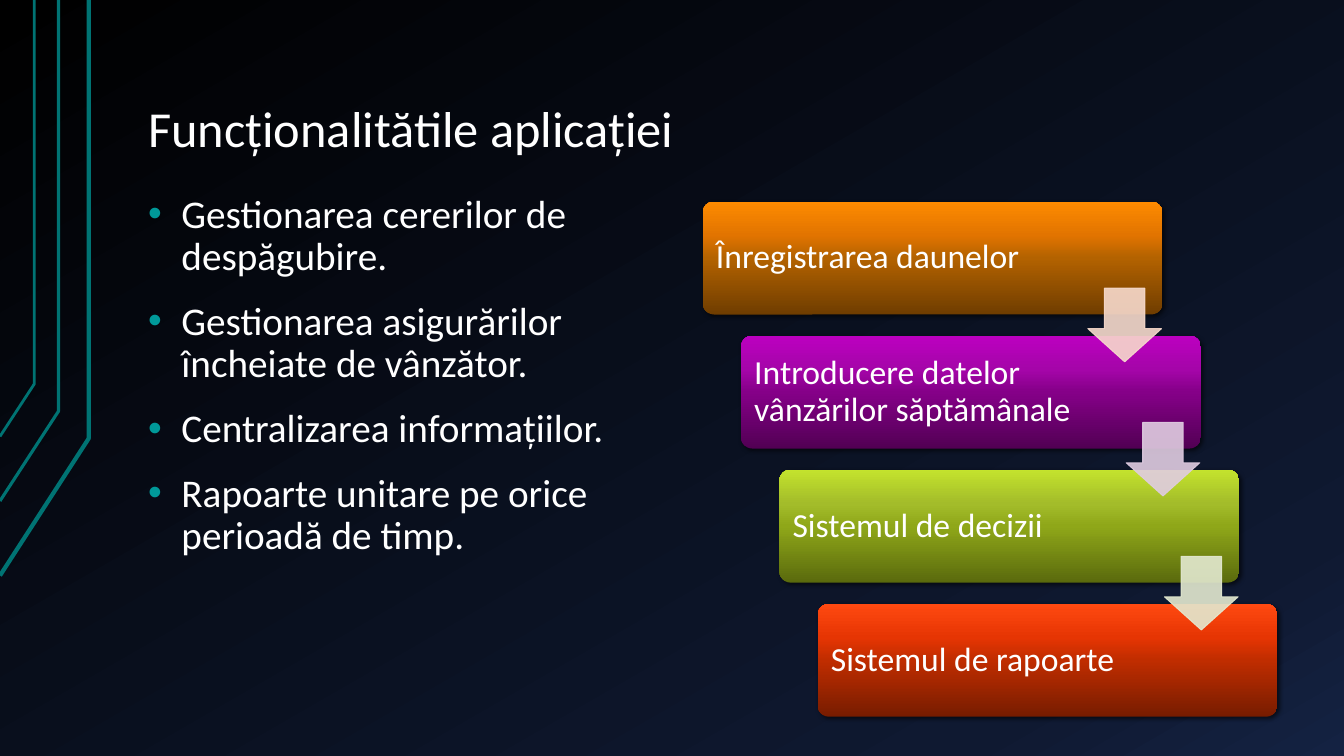
"""Builds the slide on the functions of the application, with a four-step cascade."""
from lxml import etree
from pptx import Presentation
from pptx.dml.color import RGBColor
from pptx.enum.shapes import MSO_SHAPE
from pptx.enum.text import MSO_ANCHOR, PP_ALIGN
from pptx.oxml.ns import qn
from pptx.util import Inches, Pt

ROUNDED, DOWN_ARROW = MSO_SHAPE.ROUNDED_RECTANGLE, MSO_SHAPE.DOWN_ARROW
TOP, MIDDLE, BOTTOM = MSO_ANCHOR.TOP, MSO_ANCHOR.MIDDLE, MSO_ANCHOR.BOTTOM
LEFT = PP_ALIGN.LEFT

TITLE = "Funcționalitătile aplicației"
FUNCTIONS = [
    "Gestionarea cererilor de despăgubire.",
    "Gestionarea asigurărilor încheiate de vânzător.",
    "Centralizarea informațiilor.",
    "Rapoarte unitare pe orice perioadă de timp.",
]
STEPS = [
    ("Înregistrarea daunelor", ("6F3D00", "B36200", "E27400", "FE8B00")),
    ("Introducere datelor vânzărilor săptămânale", ("520054", "850088", "A505A9", "BC00C0")),
    ("Sistemul de decizii", ("5A6A0D", "8FA719", "A3BC2A", "C4E32D")),
    ("Sistemul de rapoarte", ("771C00", "C02D00", "E63503", "FF4911")),
]
ARROW_COLORS = ["F7DACC", "E0CCE1", "E3E9D0"]
TRACES = [
    (3, [(0, 5.71), (0.88, 4.35), (0.88, 0)]),
    (2.25, [(0, 4.97), (0.58, 4.08), (0.58, 0)]),
    (2, [(0, 4.33), (0.34, 3.81), (0.34, 0)]),
]
BACKDROP = [(0, "000000"), (85, "0F1931"), (100, "142242")]
STEP_STOPS = (0, 50, 70, 100)
WHITE, TEAL, BULLET_TEAL = "FFFFFF", "007373", "009999"
FONT = "Calibri"

SLIDE_WIDTH, SLIDE_HEIGHT = 13.33, 7.5
MARGIN = 1.34
STEP_LEFT, STEP_TOP, STEP_WIDTH, STEP_HEIGHT = 6.97, 2, 4.56, 1.12
SHIFT, DROP = 0.38, 1.33
ARROW_SIZE = 0.73
ARROW_LEFT = STEP_LEFT + STEP_WIDTH - ARROW_SIZE - 0.01
ARROW_TOP = STEP_TOP + 0.86


def color(value):
    return RGBColor.from_string(value)


def add_node(parent, tag, **attributes):
    return etree.SubElement(parent, qn(tag), {k: str(v) for k, v in attributes.items()})


def fill_gradient(fill, properties, stops, angle):
    fill.solid()
    solid = properties.find(qn("a:solidFill"))
    gradient = etree.Element(qn("a:gradFill"), rotWithShape="1")
    stop_list = add_node(gradient, "a:gsLst")
    for position, value in stops:
        stop = add_node(stop_list, "a:gs", pos=position * 1000)
        add_node(stop, "a:srgbClr", val=value)
    add_node(gradient, "a:lin", ang=angle * 60000, scaled=0)
    properties.replace(solid, gradient)


def write(frame, lines, size, anchor, insets, **spacing):
    settings = dict(zip(("margin_left", "margin_top", "margin_right", "margin_bottom"),
                        map(Inches, insets)), word_wrap=True, vertical_anchor=anchor)
    for key, value in settings.items():
        setattr(frame, key, value)
    frame.text = "\n".join(lines)
    for paragraph in frame.paragraphs:
        for key, value in {"alignment": LEFT, "line_spacing": 0.9, **spacing}.items():
            setattr(paragraph, key, value)
        font = paragraph.runs[0].font
        font.name, font.size = FONT, Pt(size)
        font.color.rgb = color(WHITE)


def add_bullet(paragraph):
    properties = paragraph._p.get_or_add_pPr()
    properties.set("marL", str(Inches(0.33)))
    properties.set("indent", str(-Inches(0.33)))
    add_node(add_node(properties, "a:buClr"), "a:srgbClr", val=BULLET_TEAL)
    add_node(properties, "a:buFont", typeface="Arial")
    add_node(properties, "a:buChar", char="•")


def add_trace(slide, width, points):
    start, *bends = [(Inches(x), Inches(y)) for x, y in points]
    builder = slide.shapes.build_freeform(*start)
    builder.add_line_segments(bends, close=False)
    trace = builder.convert_to_shape()
    trace.shadow.inherit = False
    trace.fill.background()
    trace.line.color.rgb = color(TEAL)
    trace.line.width = Pt(width)


def add_step(slide, row, label, shades):
    step = slide.shapes.add_shape(
        ROUNDED, Inches(STEP_LEFT + row * SHIFT), Inches(STEP_TOP + row * DROP),
        Inches(STEP_WIDTH), Inches(STEP_HEIGHT))
    step.adjustments[0] = 0.1
    step.line.fill.background()
    properties = step.element.spPr
    fill_gradient(step.fill, properties, zip(STEP_STOPS, shades), 270)
    step.shadow.inherit = False
    shadow = add_node(properties.find(qn("a:effectLst")), "a:outerShdw", blurRad=Pt(3),
                      dist=Pt(2), dir=45 * 60000, algn="ctr", rotWithShape=0)
    add_node(add_node(shadow, "a:srgbClr", val="000000"), "a:alpha", val=60000)
    write(step.text_frame, [label], 24, MIDDLE, (0.1, 0.1, 1.18, 0.1))


def add_arrow(slide, row, shade):
    arrow = slide.shapes.add_shape(
        DOWN_ARROW, Inches(ARROW_LEFT + row * SHIFT), Inches(ARROW_TOP + row * DROP),
        Inches(ARROW_SIZE), Inches(ARROW_SIZE))
    arrow.adjustments[0], arrow.adjustments[1] = 0.55, 0.45
    arrow.shadow.inherit = False
    arrow.fill.solid()
    arrow.fill.fore_color.rgb = color(shade)
    arrow.line.color.rgb = color(shade)
    arrow.line.width = Pt(0.75)
    for value in arrow.element.spPr.iter(qn("a:srgbClr")):
        add_node(value, "a:alpha", val=90000)


def main():
    deck = Presentation()
    deck.slide_width, deck.slide_height = Inches(SLIDE_WIDTH), Inches(SLIDE_HEIGHT)
    slide = deck.slides.add_slide(deck.slide_layouts[5])
    backdrop = slide.background.fill
    fill_gradient(backdrop, slide.element.find(".//" + qn("p:bgPr")), BACKDROP, 60)

    for width, points in TRACES:
        add_trace(slide, width, points)

    title = slide.shapes.title
    title.left, title.top = Inches(MARGIN), Inches(0.3)
    title.width, title.height = Inches(SLIDE_WIDTH - 1.5 * MARGIN), Inches(1.34)
    insets = (0.13, 0.07, 0.13, 0.07)
    write(title.text_frame, [TITLE], 36, BOTTOM, insets)

    functions = slide.shapes.add_textbox(
        Inches(MARGIN), Inches(1.86), Inches(5.55), Inches(4.88)).text_frame
    write(functions, FUNCTIONS, 28, TOP, insets, space_before=Pt(16))
    for paragraph in functions.paragraphs:
        add_bullet(paragraph)

    for row, (label, shades) in enumerate(STEPS):
        add_step(slide, row, label, shades)
    for row, shade in enumerate(ARROW_COLORS):
        add_arrow(slide, row, shade)
    deck.save("out.pptx")


if __name__ == "__main__":
    main()
